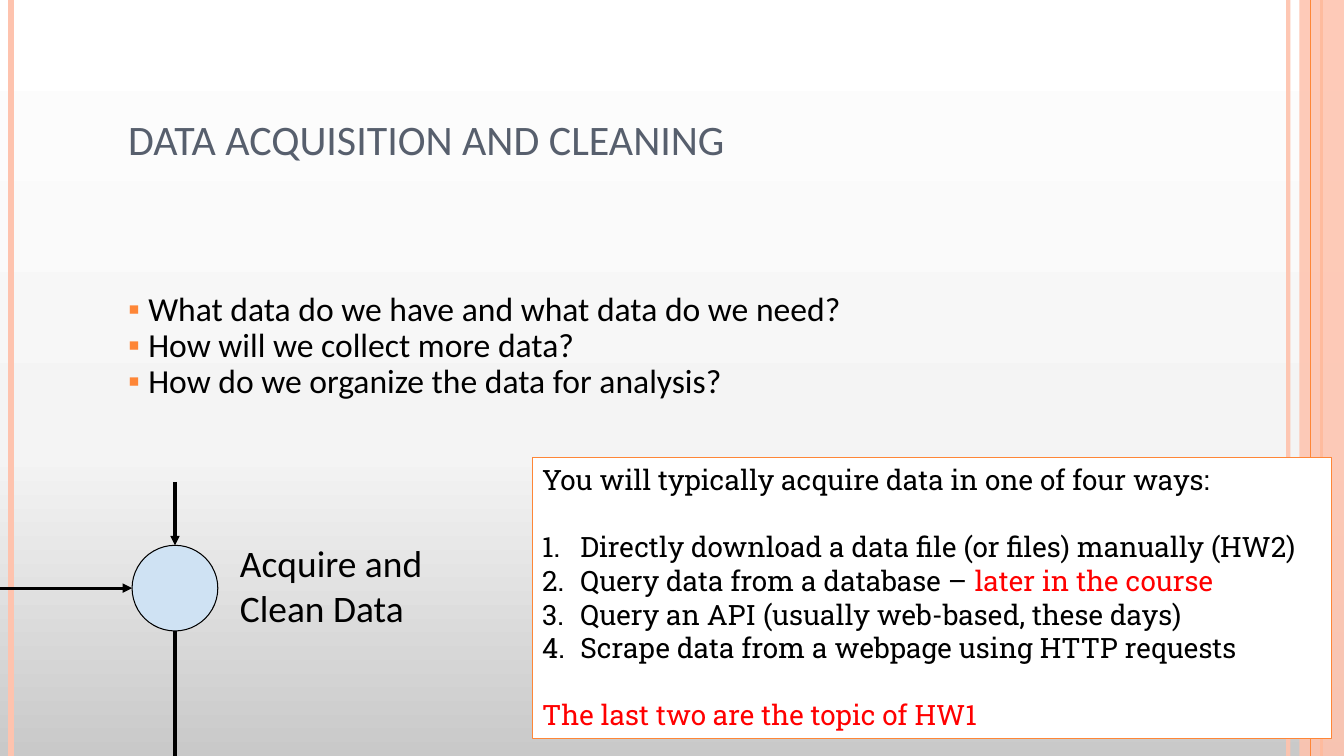
from copy import deepcopy

from lxml import etree
from pptx import Presentation
from pptx.dml.color import RGBColor
from pptx.enum.shapes import MSO_CONNECTOR, MSO_SHAPE
from pptx.enum.text import MSO_ANCHOR, MSO_AUTO_SIZE, PP_ALIGN
from pptx.oxml.ns import qn
from pptx.util import Inches, Pt

STRAIGHT = MSO_CONNECTOR.STRAIGHT
RECTANGLE, OVAL = MSO_SHAPE.RECTANGLE, MSO_SHAPE.OVAL
TOP, MIDDLE = MSO_ANCHOR.TOP, MSO_ANCHOR.MIDDLE
LEFT = PP_ALIGN.LEFT
FIXED_SIZE = MSO_AUTO_SIZE.NONE

PEACH = RGBColor(0xFE, 0xC3, 0xAE)
ORANGE = RGBColor(0xFE, 0x86, 0x37)
SLATE = RGBColor(0x57, 0x5F, 0x6D)
PALE_BLUE = RGBColor(0xCF, 0xE2, 0xF3)
BLACK = RGBColor(0x00, 0x00, 0x00)
WHITE = RGBColor(0xFF, 0xFF, 0xFF)
RED = RGBColor(0xFF, 0x00, 0x00)
BACKDROP = [(0, RGBColor(0xC9, 0xC9, 0xC9)), (0.4, RGBColor(0xF4, 0xF4, 0xF4)), (1, WHITE)]

SANS, SLAB = "Calibri", "Roboto Slab"
WIDTH, HEIGHT = Inches(13.33), Inches(7.5)

# Border lines: column, colour, width in points, opacity in percent
BORDER_LINES = [
    (95.85, PEACH, 3, 93),
    (0.83, PEACH, 4.5, 100),
    (98.33, ORANGE, 1.5, 100),
    (97.5, ORANGE, 0.75, 100),
]
QUESTIONS = [
    "What data do we have and what data do we need?",
    "How will we collect more data?",
    "How do we organize the data for analysis?",
]
# Panel paragraphs: spans of text and colour, numbered or not, space before in points
PANEL = [
    ([("You will typically acquire data in one of four ways:", BLACK)], False, 0),
    ([("Directly download a data file (or files) manually (HW2)", BLACK)], True, 24),
    ([("Query data from a database – ", BLACK), ("later in the course", RED)], True, 0),
    ([("Query an API (usually web-based, these days)", BLACK)], True, 0),
    ([("Scrape data from a webpage using HTTP requests", BLACK)], True, 0),
    ([("The last two are the topic of HW1", RED)], False, 24),
]


def across(columns):
    """Length of that many hundredths of the slide's width."""
    return int(WIDTH * columns / 100)


def down(rows):
    """Length of that many hundredths of the slide's height."""
    return int(HEIGHT * rows / 100)


def area(left, top, width, height):
    return across(left), down(top), across(width), down(height)


def style_span(span, font, size, color):
    span.font.name = font
    span.font.size = Pt(size)
    span.font.color.rgb = color


def set_marker(para, color, tag, indent, **attributes):
    """Give a paragraph a hanging bullet or number."""
    properties = para._p.get_or_add_pPr()
    properties.set("marL", str(Inches(indent)))
    properties.set("indent", str(-Inches(indent)))
    tint = etree.SubElement(properties, qn("a:buClr"))
    etree.SubElement(tint, qn("a:srgbClr"), val=str(color))
    etree.SubElement(properties, qn(tag), **attributes)


def set_opacity(shape, percent):
    color = shape._element.spPr.find(".//" + qn("a:srgbClr"))
    etree.SubElement(color, qn("a:alpha"), val=str(percent * 1000))


def paint_backdrop(page):
    fill = page.background.fill
    fill.gradient()
    fill.gradient_angle = 90
    stop_list = page.element.find(".//" + qn("a:gsLst"))
    stop_list.append(deepcopy(stop_list[-1]))
    for stop, (position, color) in zip(fill.gradient_stops, BACKDROP):
        stop.position = position
        stop.color.rgb = color


def add_line(page, start, end, color, width, arrow=False):
    line = page.shapes.add_connector(
        STRAIGHT, across(start[0]), down(start[1]), across(end[0]), down(end[1]))
    line.line.color.rgb = color
    line.line.width = Pt(width)
    if arrow:
        etree.SubElement(line.line._get_or_add_ln(), qn("a:tailEnd"), type="triangle")
    etree.SubElement(line._element.spPr, qn("a:effectLst"))
    return line


def add_figure(page, kind, place, fill, outline=None):
    figure = page.shapes.add_shape(kind, *area(*place))
    figure.shadow.inherit = False
    figure.fill.solid()
    figure.fill.fore_color.rgb = fill
    if outline is None:
        figure.line.fill.background()
    else:
        figure.line.color.rgb = outline
        figure.line.width = Pt(0.75)
    return figure


def add_border(page):
    for column, color, width, opacity in BORDER_LINES[:3]:
        set_opacity(add_line(page, (column, 0), (column, 100), color, width), opacity)
    set_opacity(add_figure(page, RECTANGLE, (96.68, 0, 3.32, 100), PEACH), 87)
    column, color, width, _ = BORDER_LINES[3]
    add_line(page, (column, 0), (column, 100), color, width)


def place_text(box, place, anchor):
    box.left, box.top, box.width, box.height = area(*place)
    box.text_frame.auto_size = FIXED_SIZE
    box.text_frame.vertical_anchor = anchor


def fill_title(title):
    place_text(title, (8.78, 7.07, 82.5, 23.47), MIDDLE)
    title.text_frame.text = "DATA ACQUISITION AND CLEANING"
    para = title.text_frame.paragraphs[0]
    para.alignment = LEFT
    para.line_spacing = 0.9
    style_span(para.runs[0], SANS, 30, SLATE)


def fill_questions(body):
    place_text(body, (8.78, 38, 82.5, 52), TOP)
    body.text_frame.text = "\n".join(QUESTIONS)
    for para in body.text_frame.paragraphs:
        set_marker(para, ORANGE, "a:buChar", 0.2, char="▪")
        para.line_spacing = 0.9
        para.space_before = Pt(0)
        style_span(para.runs[0], SANS, 24, BLACK)


def add_step(page):
    """Draw the process step with its arrows and label."""
    center, middle = 13.02, 77.8
    width, height = 6.38, 11.33
    left, top = center - width / 2, middle - height / 2
    add_figure(page, OVAL, (left, top, width, height), PALE_BLUE, BLACK)
    add_line(page, (center, 63.73), (center, top), BLACK, 2.25, arrow=True)
    add_line(page, (0, middle), (left, middle), BLACK, 2.25, arrow=True)
    add_line(page, (center, top + height), (center, 100), BLACK, 2.25)

    label = page.shapes.add_textbox(*area(16.88, 69.73, 21.45, 13.2))
    frame = label.text_frame
    frame.word_wrap = True
    frame.margin_left = frame.margin_right = Inches(0.13)
    frame.margin_top = frame.margin_bottom = Inches(0.13)
    frame.text = "Acquire and Clean Data"
    style_span(frame.paragraphs[0].runs[0], SANS, 26.7, BLACK)


def add_panel(page):
    panel = add_figure(page, RECTANGLE, (39.6, 60.53, 59.48, 37.2), WHITE, ORANGE)
    frame = panel.text_frame
    frame.word_wrap = True
    frame.vertical_anchor = TOP
    for index, (spans, numbered, gap) in enumerate(PANEL):
        para = frame.add_paragraph() if index else frame.paragraphs[0]
        if numbered:
            set_marker(para, BLACK, "a:buAutoNum", 0.38, type="arabicPeriod")
        para.alignment = LEFT
        para.space_before = Pt(gap)
        for text, color in spans:
            span = para.add_run()
            span.text = text
            style_span(span, SLAB, 20, color)


def main():
    deck = Presentation()
    deck.slide_width, deck.slide_height = WIDTH, HEIGHT
    page = deck.slides.add_slide(deck.slide_layouts[1])
    paint_backdrop(page)
    add_border(page)
    fill_title(page.shapes.title)
    fill_questions(page.placeholders[1])
    add_step(page)
    add_panel(page)
    deck.save("out.pptx")


if __name__ == "__main__":
    main()
